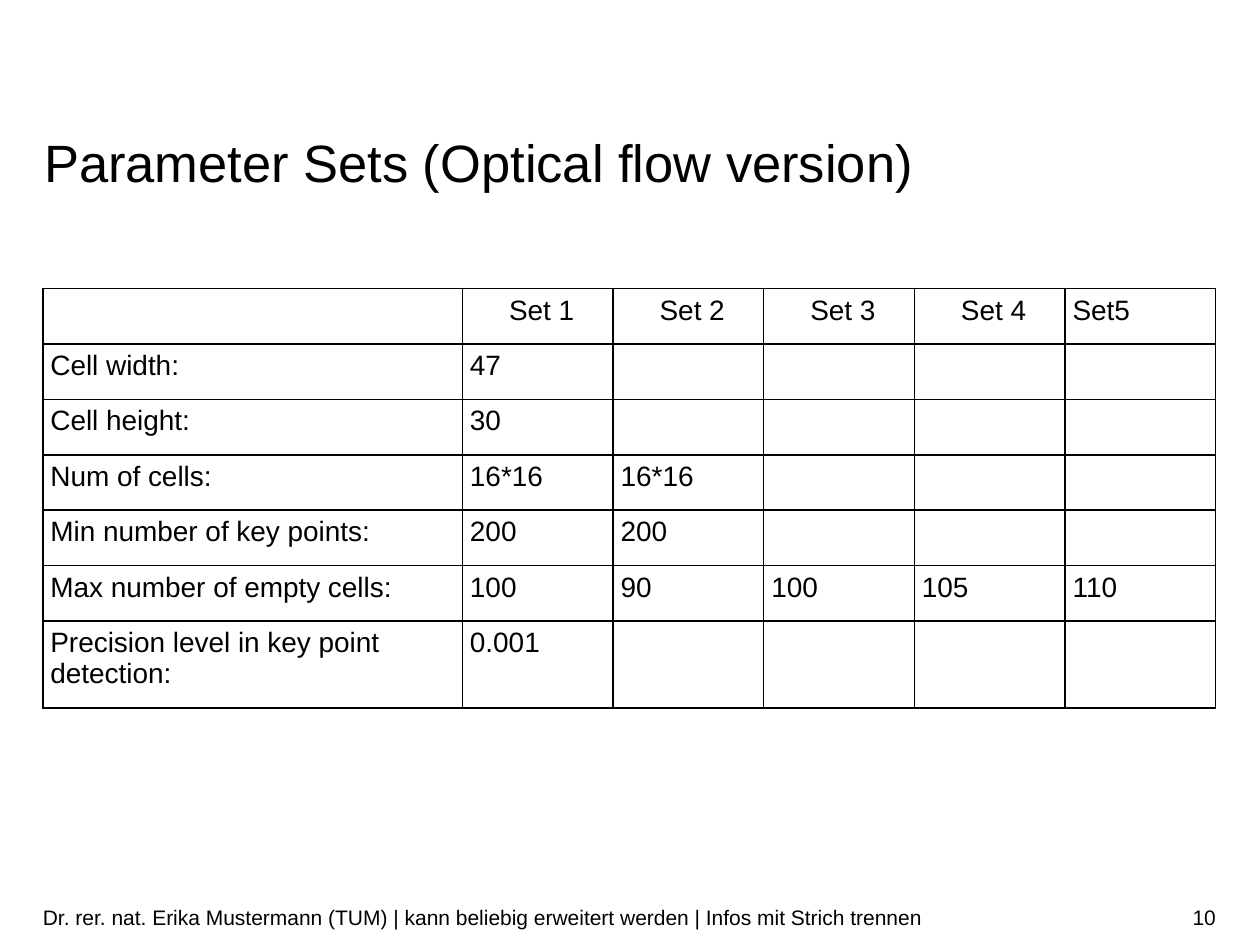
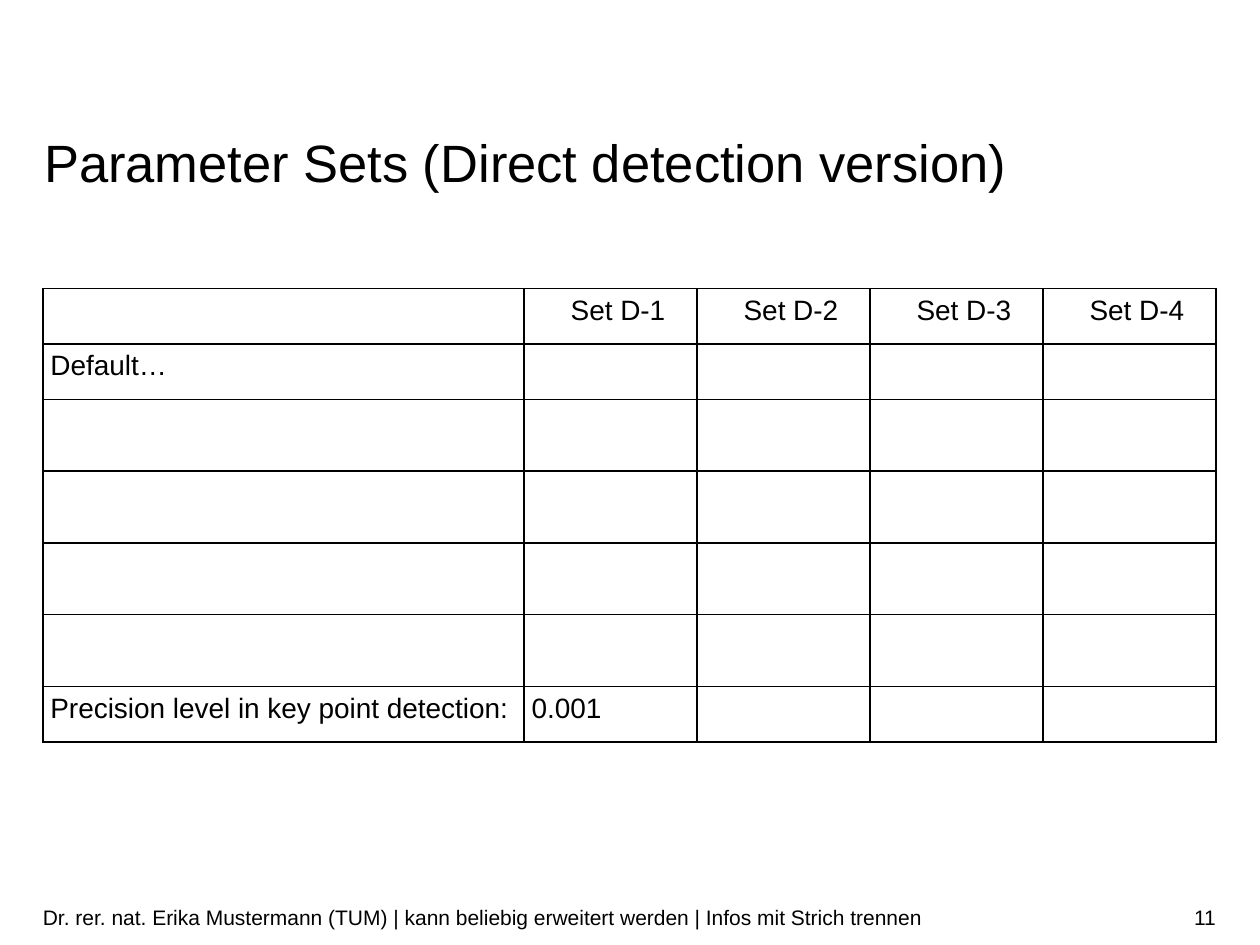
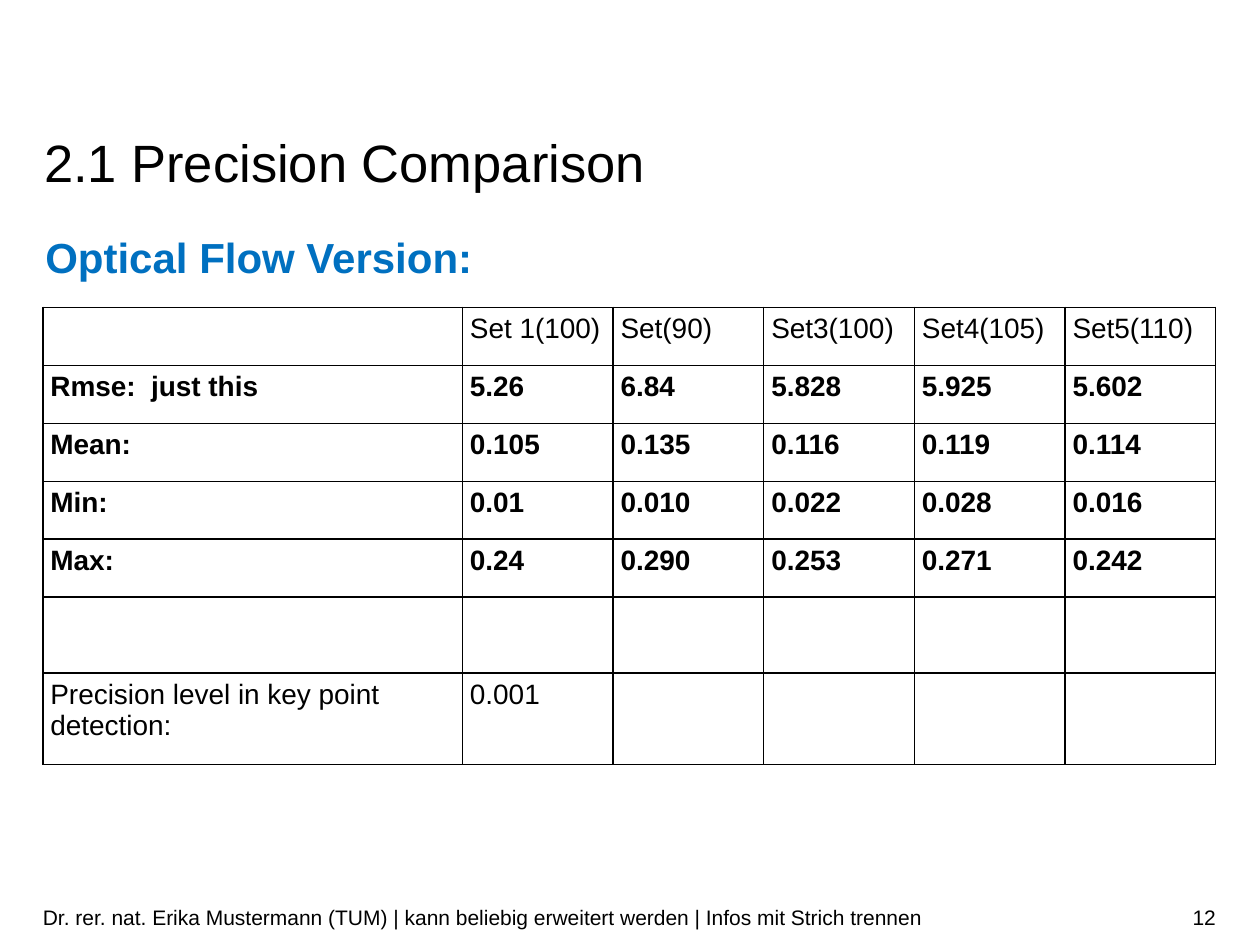
from lxml.etree import SubElement
from pptx import Presentation
from pptx.dml.color import RGBColor
from pptx.enum.text import MSO_ANCHOR as ANCHOR, MSO_AUTO_SIZE as AUTO, PP_ALIGN as ALIGN
from pptx.oxml.ns import qn
from pptx.util import Emu, Inches, Pt

W, H = 10, 7.5
LEFT, WIDTH = 0.34, 9.31
FONT, BLACK, BLUE = "Arial", "000000", "0070C0"
TITLE_BOX = (0.35, 1.09, WIDTH, 0.45)
SUBTITLE_BOX = (0.36, 1.78, 3.39, 0.46)
FOOTER_BOX = (LEFT, 7.08, WIDTH, 0.4)
FOOTER_SHARE = 0.76
FOOTER = ("Dr. rer. nat. Erika Mustermann (TUM) | kann beliebig erweitert werden"
          " | Infos mit Strich trennen")
FIRST_NUMBER = 10
HEADER_INDENT = 0.31
BORDER = Pt(0.96)
PRECISION = "Precision level in key point detection:"


def rgb(color):
    """Turn a hex string into a colour."""
    return RGBColor.from_string(color)


def add_run(p, text, size, color=BLACK, bold=False):
    """Add one formatted run to a paragraph."""
    r = p.add_run()
    r.text = text
    r.font.name, r.font.size, r.font.bold = FONT, Pt(size), bold
    r.font.color.rgb = rgb(color)


def set_frame(tf, inset=0, anchor=ANCHOR.TOP, wrap=True):
    """Set the vertical insets, anchor and wrapping; side insets are zero."""
    tf.auto_size, tf.word_wrap, tf.vertical_anchor = AUTO.NONE, wrap, anchor
    tf.margin_left = tf.margin_right = 0
    tf.margin_top = tf.margin_bottom = Inches(inset)


def add_title(s, box, text):
    """Move the title placeholder to the box and fill it."""
    sp = s.shapes.title
    sp.left, sp.top, sp.width, sp.height = map(Inches, box)
    set_frame(sp.text_frame)
    p = sp.text_frame.paragraphs[0]
    p.alignment, p.line_spacing = ALIGN.LEFT, Pt(32)
    add_run(p, text, 30)


def add_subtitle(s, box, text):
    """Add the blue heading above a table."""
    tf = s.shapes.add_textbox(*map(Inches, box)).text_frame
    set_frame(tf, wrap=False)
    p = tf.paragraphs[0]
    p.line_spacing = 1.14
    add_run(p, text, 24, BLUE, True)


def add_footer(s, box, number):
    """Split the box between the footer text and the page number."""
    x, y, w, h = box
    split = w * FOOTER_SHARE
    parts = [(x + split, w - split, str(number), ALIGN.RIGHT),
             (x, split, FOOTER, ALIGN.LEFT)]
    for left, width, text, align in parts:
        tf = s.shapes.add_textbox(*map(Inches, (left, y, width, h))).text_frame
        set_frame(tf, 0.05, ANCHOR.MIDDLE)
        p = tf.paragraphs[0]
        p.alignment = align
        add_run(p, text, 12)


def add_borders(cell):
    """Draw a thin black line on each side of a cell."""
    tc_pr = cell._tc.get_or_add_tcPr()
    for i, side in enumerate(("a:lnL", "a:lnR", "a:lnT", "a:lnB")):
        ln = SubElement(tc_pr, qn(side), w=str(int(BORDER)))
        fill = SubElement(ln, qn("a:solidFill"))
        SubElement(fill, qn("a:srgbClr"), val=BLACK)
        tc_pr.insert(i, ln)


def fill_cell(cell, text, bold, indent):
    """Format one table cell and write its text."""
    cell.fill.background()
    add_borders(cell)
    cell.margin_left, cell.margin_right = Inches(0.06), Inches(0.1)
    cell.margin_top = cell.margin_bottom = Inches(0.05)
    p = cell.text_frame.paragraphs[0]
    if not text:
        p.font.size = Pt(16)
        return
    if indent:
        p._p.get_or_add_pPr().set("marL", str(Inches(indent)))
    add_run(p, text, 16, bold=bold)


def add_grid(s, top, label_width, heights, rows, bold_rows=(), indented=()):
    """Add a table: one label column, then equal value columns.

    Short rows are padded with empty cells; indented lists header columns.
    """
    n_cols = len(rows[0])
    box = (LEFT, top, WIDTH, sum(heights))
    table = s.shapes.add_table(len(rows), n_cols, *map(Inches, box)).table
    table.first_row = table.horz_banding = False
    value_width = (WIDTH - label_width) / (n_cols - 1)
    for j, col in enumerate(table.columns):
        col.width = Inches(value_width if j else label_width)
    for i, (row, height) in enumerate(zip(rows, heights)):
        table.rows[i].height = Inches(height)
        for j in range(n_cols):
            text = row[j] if j < len(row) else ""
            indent = HEADER_INDENT if i == 0 and j in indented else 0
            fill_cell(table.cell(i, j), text, i in bold_rows, indent)


def add_slide(prs, title, subtitle, grid):
    """Add a slide with title, optional subtitle, table and footer."""
    s = prs.slides.add_slide(prs.slide_layouts[5])
    add_footer(s, FOOTER_BOX, FIRST_NUMBER + len(prs.slides) - 1)
    add_title(s, TITLE_BOX, title)
    if subtitle:
        add_subtitle(s, SUBTITLE_BOX, subtitle)
    add_grid(s, **grid)


optical_flow = dict(
    top=2.29, label_width=3.33, heights=[0.44] * 6 + [0.69], indented=range(1, 5),
    rows=[
        ["", "Set 1", "Set 2", "Set 3", "Set 4", "Set5"],
        ["Cell width:", "47"],
        ["Cell height:", "30"],
        ["Num of cells:", "16*16", "16*16"],
        ["Min number of key points:", "200", "200"],
        ["Max number of empty cells:", "100", "90", "100", "105", "110"],
        [PRECISION, "0.001"],
    ])
direct_detection = dict(
    top=2.29, label_width=3.82, heights=[0.44] * 2 + [0.57] * 4 + [0.44],
    indented=range(1, 5),
    rows=[
        ["", "Set D-1", "Set D-2", "Set D-3", "Set D-4"],
        ["Default…"],
        [], [], [], [],
        [PRECISION, "0.001"],
    ])
comparison = dict(
    top=2.44, label_width=3.33, heights=[0.46] * 5 + [0.6, 0.73],
    bold_rows=range(1, 5),
    rows=[
        ["", "Set 1(100)", "Set(90)", "Set3(100)", "Set4(105)", "Set5(110)"],
        ["Rmse:  just this", "5.26", "6.84", "5.828", "5.925", "5.602"],
        ["Mean:", "0.105", "0.135", "0.116", "0.119", "0.114"],
        ["Min:", "0.01", "0.010", "0.022", "0.028", "0.016"],
        ["Max:", "0.24", "0.290", "0.253", "0.271", "0.242"],
        [],
        [PRECISION, "0.001"],
    ])

prs = Presentation()
prs.slide_width, prs.slide_height = Inches(W), Inches(H)
add_slide(prs, "Parameter Sets (Optical flow version)", None, optical_flow)
add_slide(prs, "Parameter Sets (Direct detection version)", None, direct_detection)
add_slide(prs, "2.1 Precision Comparison", "Optical Flow Version:", comparison)
prs.save("out.pptx")
